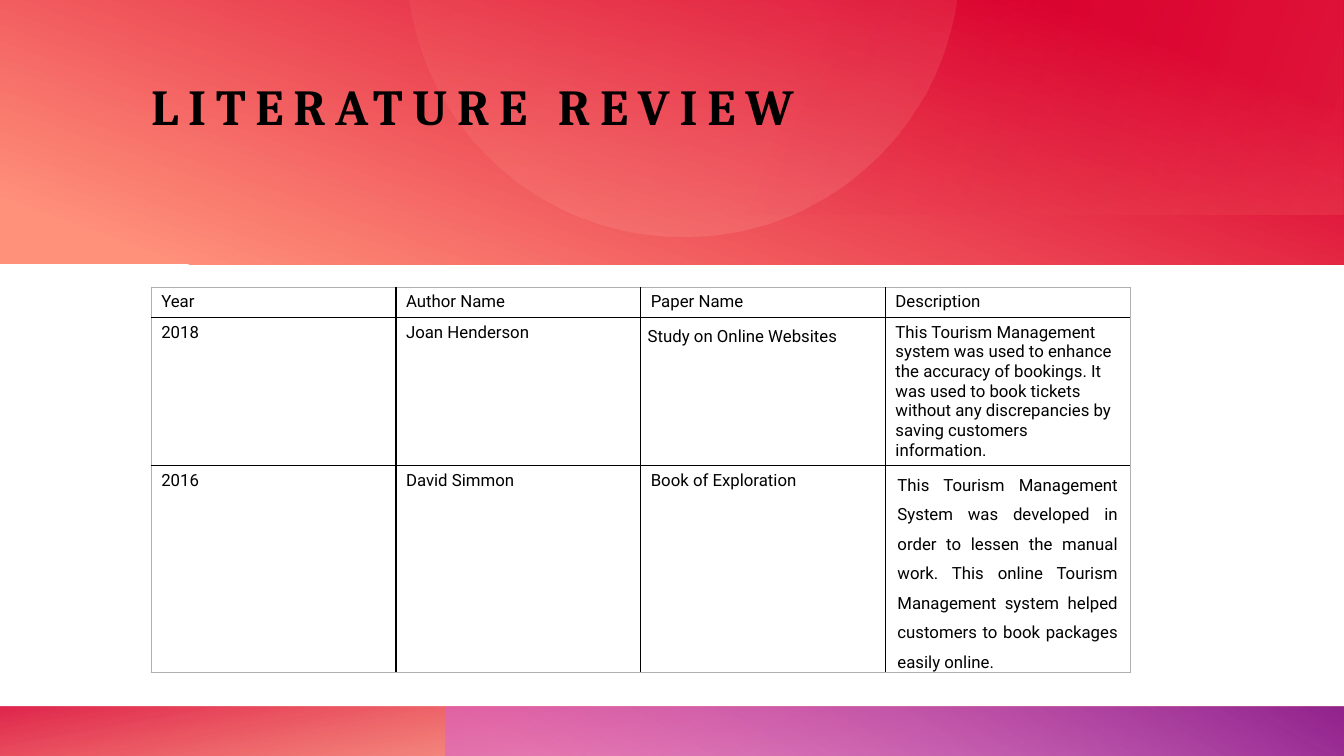
import math
from dataclasses import dataclass

from lxml import etree
from pptx import Presentation
from pptx.dml.color import RGBColor
from pptx.enum import shapes, text
from pptx.oxml import ns
from pptx.util import Inches, Pt

COLORS = {
    "text": "000000",
    "outline": "B0B0B0",
    "orange": "FE4A00",
    "peach": "FF907A",
    "pale": "FFBCAF",
    "red": "DA002F",
    "pink": "D861D4",
    "purple": "92248E",
}


@dataclass
class Stop:
    """A gradient stop; position and opacity are percentages."""
    position: int
    color: str
    opacity: int = 100


@dataclass
class Band:
    """A gradient rectangle, mirrored horizontally."""
    left: float
    top: float
    width: float
    height: float
    angle: int
    stops: tuple[Stop, Stop]
    rotation: int = 0


@dataclass
class Entry:
    """The text of a table cell; justified entries have their own side inset."""
    words: str
    inset: float | None = None


FOOTER_LEFT = Band(0, 7.01, 13.33, 0.5, 100,
                   (Stop(14, "orange", 28), Stop(100, "red", 85)), 180)
FOOTER_RIGHT = Band(4.42, 7.01, 8.92, 0.5, 240,
                    (Stop(9, "pink", 55), Stop(99, "purple")))
HEADER = Band(0, 0, 13.33, 2.62, 70, (Stop(8, "peach"), Stop(86, "red")), 180)
HEADER_GLOW = Band(4.44, 0, 8.88, 2.13, 340,
                   (Stop(0, "peach", 16), Stop(62, "red", 0)))

ROW_HEIGHTS = (0.3, 1.47, 2.04)
ROWS = (
    (Entry("Year"), Entry("Author Name"), Entry("Paper Name"), Entry("Description")),
    (Entry("2018"), Entry("Joan Henderson"), Entry("Study on Online Websites", 0.07),
     Entry("This Tourism Management system was used to enhance the accuracy of "
           "bookings. It was used to book tickets without any discrepancies by "
           "saving customers information.")),
    (Entry("2016"), Entry("David Simmon"), Entry("Book of Exploration"),
     Entry("This Tourism Management System was developed in order to lessen the "
           "manual work. This online Tourism Management system helped customers "
           "to book packages easily online.", 0.12)),
)


def add_child(parent, tag: str, **attributes):
    """Append a DrawingML element and return it."""
    values = {name: str(value) for name, value in attributes.items()}
    return etree.SubElement(parent, ns.qn(f"a:{tag}"), values)


def style_gradient(shape, angle: int, stops: tuple[Stop, ...]) -> None:
    """Give a shape a linear gradient without line or shadow."""
    shape.shadow.inherit = False
    shape.line.fill.background()
    shape.fill.gradient()
    gradient = shape._element.spPr.find(ns.qn("a:gradFill"))
    for child in list(gradient):
        gradient.remove(child)
    stop_list = add_child(gradient, "gsLst")
    for stop in stops:
        mark = add_child(stop_list, "gs", pos=stop.position * 1000)
        color = add_child(mark, "srgbClr", val=COLORS[stop.color])
        if stop.opacity < 100:
            add_child(color, "alpha", val=stop.opacity * 1000)
    add_child(gradient, "lin", ang=angle * 60000, scaled=0)


def add_band(slide, band: Band) -> None:
    """Draw a gradient band."""
    shape = slide.shapes.add_shape(
        shapes.MSO_SHAPE.RECTANGLE, Inches(band.left), Inches(band.top),
        Inches(band.width), Inches(band.height))
    shape.rotation = band.rotation
    shape._element.spPr.xfrm.set("flipH", "1")
    style_gradient(shape, band.angle, band.stops)


def add_bowl(slide) -> None:
    """Draw the part of the translucent disc below the top edge."""
    center_x, center_y, radius = 6.77, -0.39, 2.74
    start = math.asin(-center_y / radius)
    steps = 90
    angles = [start + (math.pi - 2 * start) * step / steps for step in range(steps + 1)]
    points = [(Inches(center_x + radius * math.cos(angle)),
               Inches(center_y + radius * math.sin(angle))) for angle in angles]
    builder = slide.shapes.build_freeform(*points[0])
    builder.add_line_segments(points[1:], close=True)
    style_gradient(builder.convert_to_shape(), 77,
                   (Stop(0, "peach", 12), Stop(100, "pale", 20)))


def set_font(paragraph, name: str, size: int, bold: bool = False) -> None:
    """Format the font of a paragraph."""
    paragraph.font.name = name
    paragraph.font.size = Pt(size)
    paragraph.font.bold = bold
    paragraph.font.color.rgb = RGBColor.from_string(COLORS["text"])


def add_title(slide) -> None:
    """Place the title above the header artwork."""
    title = slide.shapes.title
    title.left, title.top = Inches(1.5), Inches(0)
    title.width, title.height = Inches(11.2), Inches(1.35)
    frame = title.text_frame
    frame.text = "LITERATURE REVIEW"
    frame.vertical_anchor = text.MSO_ANCHOR.BOTTOM
    frame.margin_left = frame.margin_top = frame.margin_right = frame.margin_bottom = 0
    paragraph = frame.paragraphs[0]
    paragraph.alignment = text.PP_ALIGN.LEFT
    set_font(paragraph, "Cambria", 36, True)
    paragraph.runs[0].font._element.set("spc", "700")
    slide.shapes._spTree.append(title._element)


def set_borders(cell, row: int, column: int) -> None:
    """Draw a grey outline and black inner rules."""
    last_row, last_column = len(ROWS) - 1, len(ROWS[0]) - 1
    outer_sides = {"lnL": column == 0, "lnR": column == last_column,
                   "lnT": row == 0, "lnB": row == last_row}
    properties = cell._tc.get_or_add_tcPr()
    for side, outer in outer_sides.items():
        line = add_child(properties, side, w=Pt(0.5 if outer else 1))
        fill = add_child(line, "solidFill")
        add_child(fill, "srgbClr", val=COLORS["outline" if outer else "text"])


def fill_cell(cell, entry: Entry) -> None:
    """Write and format a table entry."""
    cell.fill.background()
    cell.text = entry.words
    paragraph = cell.text_frame.paragraphs[0]
    set_font(paragraph, "Roboto", 12)
    if entry.inset is not None:
        cell.margin_left = cell.margin_right = Inches(entry.inset)
        cell.margin_top = cell.margin_bottom = 0
        paragraph.alignment = text.PP_ALIGN.JUSTIFY
        paragraph.line_spacing = 1.5
        paragraph.space_after = Pt(8)


def add_literature_table(slide) -> None:
    """Build the table of reviewed papers."""
    frame = slide.shapes.add_table(
        len(ROWS), len(ROWS[0]), Inches(1.5), Inches(2.85),
        Inches(9.71), Inches(sum(ROW_HEIGHTS)))
    table = frame.table
    table.first_row = table.horz_banding = False
    for row, (height, entries) in enumerate(zip(ROW_HEIGHTS, ROWS)):
        table.rows[row].height = Inches(height)
        for column, entry in enumerate(entries):
            cell = table.cell(row, column)
            set_borders(cell, row, column)
            fill_cell(cell, entry)


def main() -> None:
    """Build and save the slide."""
    presentation = Presentation()
    presentation.slide_width, presentation.slide_height = Inches(13.33), Inches(7.5)
    slide = presentation.slides.add_slide(presentation.slide_layouts[5])
    for band in (FOOTER_LEFT, FOOTER_RIGHT, HEADER):
        add_band(slide, band)
    add_bowl(slide)
    add_band(slide, HEADER_GLOW)
    add_title(slide)
    add_literature_table(slide)
    presentation.save("out.pptx")


if __name__ == "__main__":
    main()
